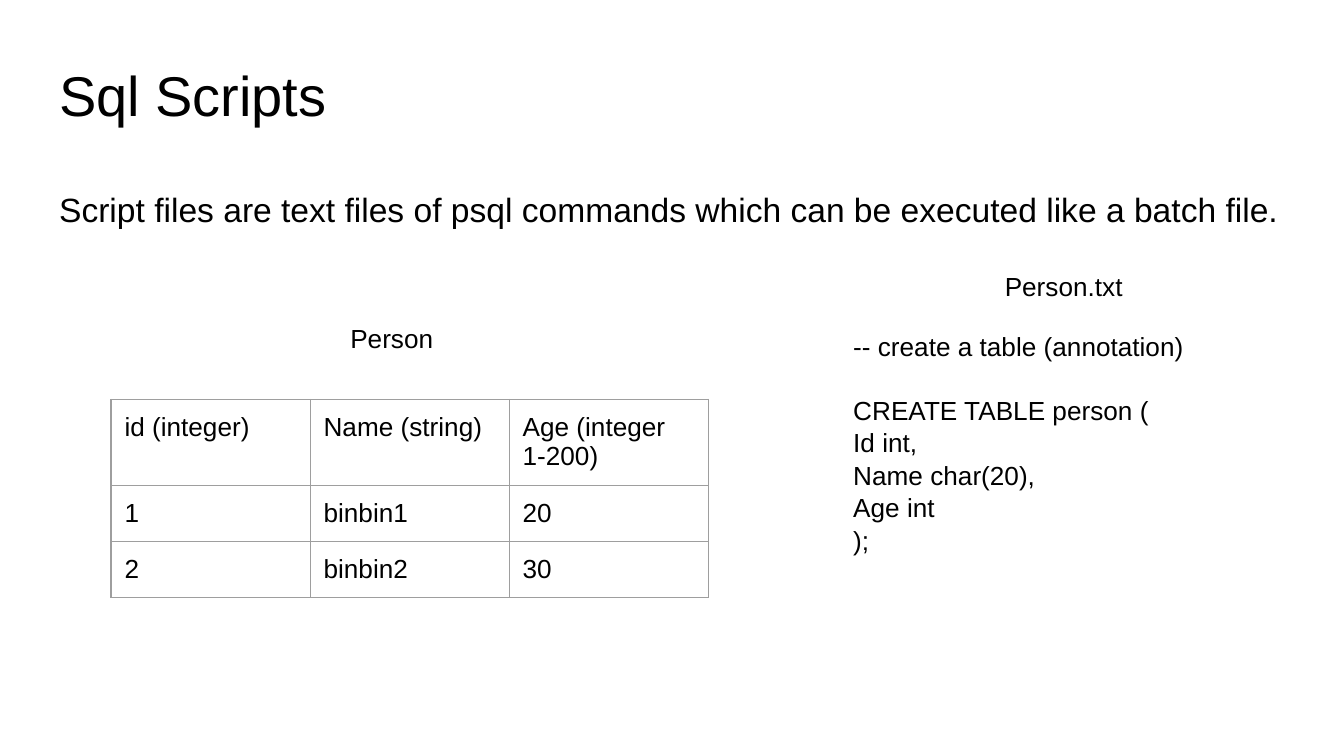
from lxml.etree import SubElement
from pptx import Presentation
from pptx.dml.color import RGBColor
from pptx.enum.text import MSO_ANCHOR, MSO_AUTO_SIZE, PP_ALIGN
from pptx.oxml.ns import qn
from pptx.util import Pt

BLACK = RGBColor(0x00, 0x00, 0x00)
GREY = RGBColor(0x9E, 0x9E, 0x9E)
FONT = "Arial"
INSET = Pt(7.2)

PERSON_ROWS = [
    ("id (integer)", "Name (string)", "Age (integer 1-200)"),
    ("1", "binbin1", "20"),
    ("2", "binbin2", "30"),
]
CREATE_TABLE = ["CREATE TABLE person (", "Id int,", "Name char(20),", "Age int", ");"]


def add_text(p, text, size=14, align=PP_ALIGN.LEFT, spacing=1.0, before=0):
    p.alignment = align
    p.line_spacing = spacing
    p.space_before = Pt(before)
    r = p.add_run()
    r.text = text
    r.font.name = FONT
    r.font.size = Pt(size)
    r.font.color.rgb = BLACK


def place(sp, box, anchor=MSO_ANCHOR.TOP):
    """Set the box in points and return a wrapped text frame with even insets."""
    sp.left, sp.top, sp.width, sp.height = (Pt(v) for v in box)
    tf = sp.text_frame
    tf.word_wrap = True
    tf.auto_size = MSO_AUTO_SIZE.NONE
    tf.vertical_anchor = anchor
    tf.margin_left = tf.margin_right = tf.margin_top = tf.margin_bottom = INSET
    return tf


def add_title(s, text, box):
    tf = place(s.shapes.title, box)
    add_text(tf.paragraphs[0], text, size=30)


def add_body(s, text, box):
    p = place(s.placeholders[1], box).paragraphs[0]
    add_text(p, text, size=18, spacing=1.15)
    pPr = p._p.get_or_add_pPr()
    pPr.set("marL", "0")
    pPr.set("indent", "0")
    SubElement(pPr, qn("a:buNone"))


def add_caption(s, text, box):
    sp = s.shapes.add_textbox(0, 0, 0, 0)
    tf = place(sp, box, MSO_ANCHOR.BOTTOM)
    add_text(tf.paragraphs[0], text, align=PP_ALIGN.CENTER)


def add_borders(cell):
    tcPr = cell._tc.get_or_add_tcPr()
    for side in ("lnL", "lnR", "lnT", "lnB"):
        ln = SubElement(tcPr, qn(f"a:{side}"), w=str(Pt(0.75)))
        fill = SubElement(ln, qn("a:solidFill"))
        SubElement(fill, qn("a:srgbClr"), val=str(GREY))


def add_person_table(s, rows, box, header_height):
    left, top, width, height = box
    frame = s.shapes.add_table(len(rows), len(rows[0]), Pt(left), Pt(top), Pt(width), Pt(height))
    table = frame.table
    table.first_row = table.horz_banding = False
    for col in table.columns:
        col.width = Pt(width / len(rows[0]))
    for i, values in enumerate(rows):
        row_height = (height - header_height) / (len(rows) - 1) if i else header_height
        table.rows[i].height = Pt(row_height)
        for cell, text in zip(table.rows[i].cells, values):
            cell.margin_left = cell.margin_right = INSET
            cell.margin_top = cell.margin_bottom = INSET
            add_text(cell.text_frame.paragraphs[0], text)
            add_borders(cell)
            cell.fill.background()


def add_script(s, comment, lines, box):
    tf = place(s.shapes.add_textbox(0, 0, 0, 0), box)
    add_text(tf.paragraphs[0], comment, spacing=1.04)
    for i, line in enumerate(lines):
        add_text(tf.add_paragraph(), line, spacing=1.04, before=0 if i else 16.8)


def main():
    prs = Presentation()
    prs.slide_width, prs.slide_height = Pt(720), Pt(405)
    s = prs.slides.add_slide(prs.slide_layouts[1])
    add_body(
        s,
        "Script files are text files of psql commands which can be executed like a batch file.",
        (24.5, 90.7, 671, 49.7),
    )
    add_person_table(s, PERSON_ROWS, (59.5, 214, 320, 106), header_height=46)
    add_caption(s, "Person", (144, 167.8, 131.8, 28.8))
    add_caption(s, "Person.txt", (504, 140.2, 131.8, 28.8))
    add_script(s, "-- create a table (annotation)", CREATE_TABLE, (450, 169, 231, 153.4))
    add_title(s, "Sql Scripts", (24.5, 25.2, 671, 62.6))
    prs.save("out.pptx")


if __name__ == "__main__":
    main()
